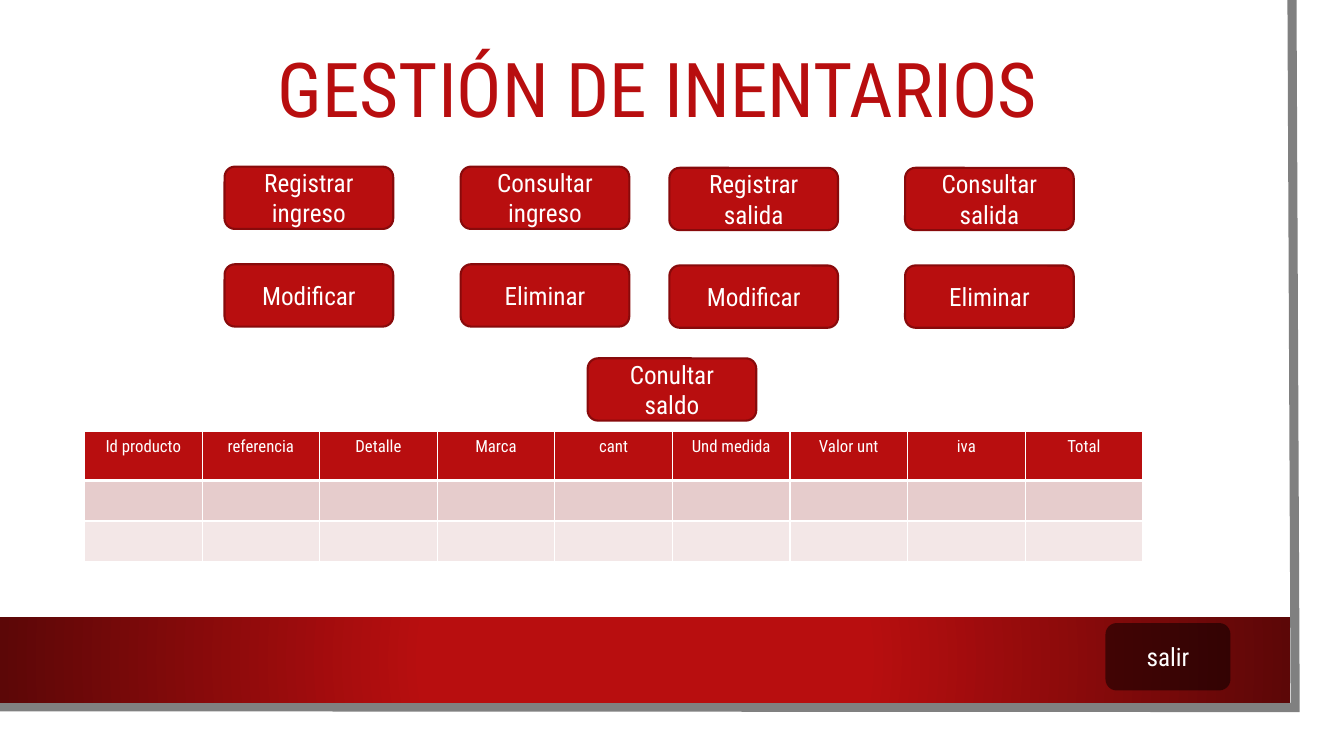
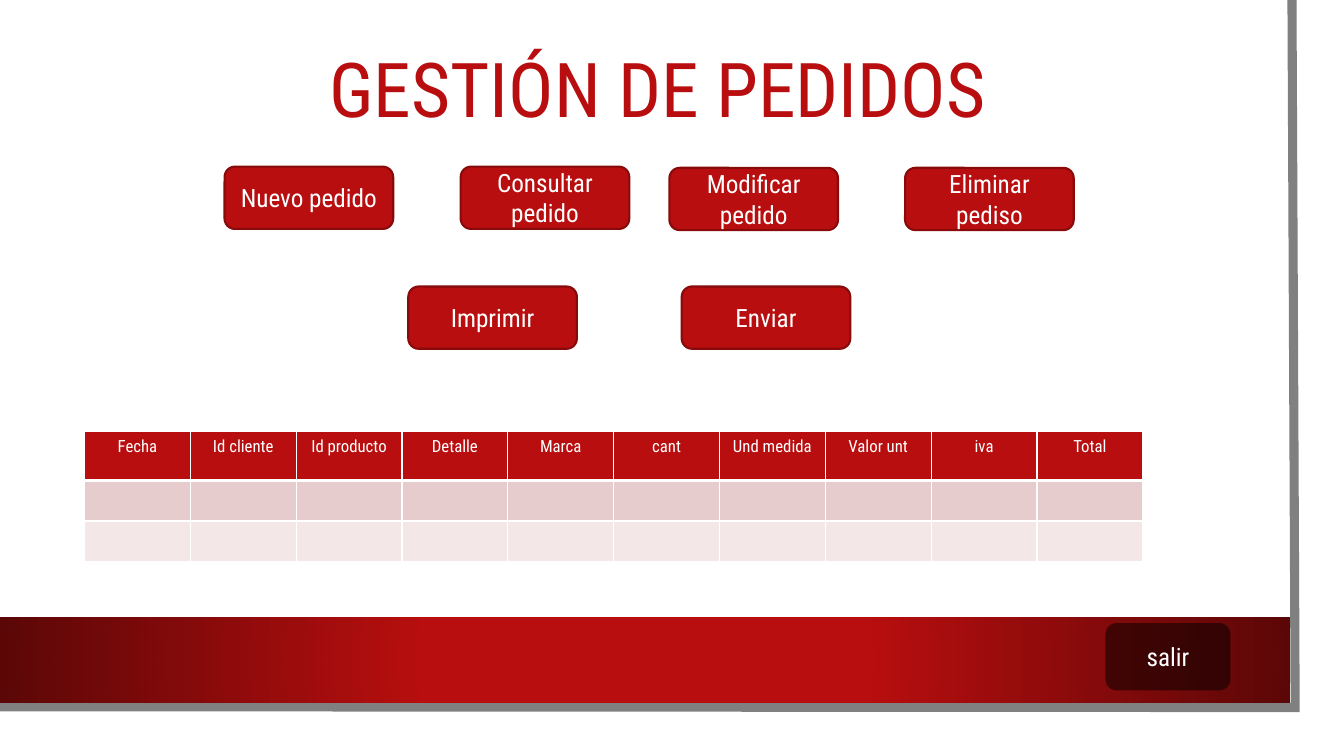
from pptx import Presentation
from pptx.dml.color import RGBColor
from pptx.enum.shapes import MSO_SHAPE
from pptx.enum.text import MSO_ANCHOR, PP_ALIGN
from pptx.oxml import parse_xml
from pptx.oxml.ns import nsdecls, qn
from pptx.util import Cm, Pt

FONT = "Roboto Condensed"
RED, DARK_RED, DEEP_RED = "B80E0F", "880A0B", "5C0707"
WHITE, GREY, BLACK = "FFFFFF", "808080", "000000"
ROW_FILLS = [RED, "E6CCCC", "F3E7E7"]
ROW_HEIGHTS = [1.24, 1.02, 1.02]

BUTTON_W, BUTTON_H = 4.25, 1.57
COLUMNS = [5.66, 11.61, 16.87, 22.81]
ROWS = [4.2, 6.66]
TABLE_BOX = (2.13, 10.87, 26.67)


def rgb(color):
    return RGBColor.from_string(color)


def write(tf, text, size=18, color=WHITE, anchor=MSO_ANCHOR.MIDDLE, spacing=None):
    """Fill a text frame with one centred paragraph."""
    tf.word_wrap = True
    tf.vertical_anchor = anchor
    p = tf.paragraphs[0]
    p.alignment = PP_ALIGN.CENTER
    p.line_spacing = spacing
    r = p.add_run()
    r.text = text
    r.font.name = FONT
    r.font.size = Pt(size)
    r.font.color.rgb = rgb(color)


def add_box(s, shape, x, y, w, h, fill=None, line=None, alpha=None):
    """Add a preset shape; alpha is the opacity of its fill in percent."""
    sp = s.shapes.add_shape(shape, Cm(x), Cm(y), Cm(w), Cm(h))
    sp.shadow.inherit = False
    if fill:
        sp.fill.solid()
        sp.fill.fore_color.rgb = rgb(fill)
    if alpha:
        clr = sp._element.spPr.find(qn("a:solidFill"))[0]
        clr.append(parse_xml(f'<a:alpha {nsdecls("a")} val="{alpha * 1000}"/>'))
    if line:
        sp.line.color.rgb = rgb(line)
        sp.line.width = Pt(1.5)
    else:
        sp.line.fill.background()
    return sp


def add_page_edge(s):
    """Draw the grey right and bottom edge of the page."""
    edge = s.shapes.build_freeform(Cm(32.56), 0)
    edge.add_line_segments([(Cm(32.64), Cm(17.83)), (Cm(-0.08), Cm(17.81))], close=False)
    sp = edge.convert_to_shape()
    sp.shadow.inherit = False
    sp.fill.background()
    sp.line.color.rgb = rgb(GREY)
    sp.line.width = Pt(6.5)
    sp.line._ln.append(parse_xml(f'<a:miter {nsdecls("a")} lim="800000"/>'))


def add_band(s, x, y, w, h):
    """Draw the bottom band, red in the middle and dark at both ends."""
    sp = add_box(s, MSO_SHAPE.RECTANGLE, x, y, w, h)
    sp.fill.gradient()
    stops = [(0.34, RED), (1, DEEP_RED)]
    for stop, (position, color) in zip(sp.fill.gradient_stops, stops):
        stop.position = position
        stop.color.rgb = rgb(color)
    grad = sp._element.spPr.find(qn("a:gradFill"))
    grad.replace(grad.find(qn("a:lin")), parse_xml(
        f'<a:path {nsdecls("a")} path="circle">'
        '<a:fillToRect l="50000" t="50000" r="50000" b="50000"/></a:path>'))


def add_title(s, text, x, y, w, h):
    box = s.shapes.add_textbox(Cm(x), Cm(y), Cm(w), Cm(h))
    write(box.text_frame, text, size=54, color=RED, spacing=0.9)


def add_button(s, text, x, y):
    sp = add_box(s, MSO_SHAPE.ROUNDED_RECTANGLE, x, y, BUTTON_W, BUTTON_H, RED, DARK_RED)
    write(sp.text_frame, text)


def add_button_row(s, labels, y):
    """Place four buttons; the right pair sits slightly lower."""
    for i, (label, x) in enumerate(zip(labels, COLUMNS)):
        add_button(s, label, x, y + i // 2 * 0.03)


def add_exit_button(s, x, y, w, h):
    sp = add_box(s, MSO_SHAPE.ROUNDED_RECTANGLE, x, y, w, h, BLACK, alpha=50)
    write(sp.text_frame, "salir")


def set_borders(cell, **widths):
    """Give the sides L, R, T and B white borders, widths in points."""
    tcPr = cell._tc.get_or_add_tcPr()
    for side, width in widths.items():
        tcPr.append(parse_xml(
            f'<a:ln{side} {nsdecls("a")} w="{Pt(width)}"><a:solidFill>'
            f'<a:srgbClr val="{WHITE}"/></a:solidFill></a:ln{side}>'))


def add_records_table(s, headers, x, y, w):
    frame = s.shapes.add_table(len(ROW_FILLS), len(headers), Cm(x), Cm(y),
                               Cm(w), Cm(sum(ROW_HEIGHTS)))
    table = frame.table
    table.first_row = table.horz_banding = False
    for column in table.columns:
        column.width = Cm(w / len(headers))
    for i, (row, height, fill) in enumerate(zip(table.rows, ROW_HEIGHTS, ROW_FILLS)):
        row.height = Cm(height)
        for cell in row.cells:
            set_borders(cell, L=1, R=1, T=3 if i == 1 else 1, B=3 if i == 0 else 1)
            cell.fill.solid()
            cell.fill.fore_color.rgb = rgb(fill)
    for cell, header in zip(table.rows[0].cells, headers):
        write(cell.text_frame, header, size=12, anchor=MSO_ANCHOR.TOP)


def add_screen(prs, title, button_rows, extra_buttons, headers):
    """Add a slide with title, buttons, table and exit button."""
    s = prs.slides.add_slide(prs.slide_layouts[6])
    add_page_edge(s)
    add_band(s, 0, 15.55, 32.51, 2.16)
    add_title(s, title, 2.13, 0.74, 28.88, 3.2)
    for labels, y in zip(button_rows, ROWS):
        add_button_row(s, labels, y)
    for label, x, y in extra_buttons:
        add_button(s, label, x, y)
    add_records_table(s, headers, *TABLE_BOX)
    add_exit_button(s, 27.86, 15.7, 3.15, 1.7)


def main():
    prs = Presentation()
    prs.slide_width, prs.slide_height = Cm(33.87), Cm(19.05)
    item_headers = ["Detalle", "Marca", "cant", "Und medida", "Valor unt", "iva", "Total"]
    add_screen(
        prs, "GESTIÓN DE INENTARIOS",
        [["Registrar ingreso", "Consultar ingreso", "Registrar salida", "Consultar salida"],
         ["Modificar", "Eliminar"] * 2],
        [("Conultar saldo", 14.81, 9.03)],
        ["Id producto", "referencia"] + item_headers)
    add_screen(
        prs, "GESTIÓN DE PEDIDOS",
        [["Nuevo pedido", "Consultar pedido", "Modificar pedido", "Eliminar pediso"]],
        [("Imprimir", 10.29, 7.22), ("Enviar", 17.18, 7.22)],
        ["Fecha", "Id cliente", "Id producto"] + item_headers)
    prs.save("out.pptx")


if __name__ == "__main__":
    main()
